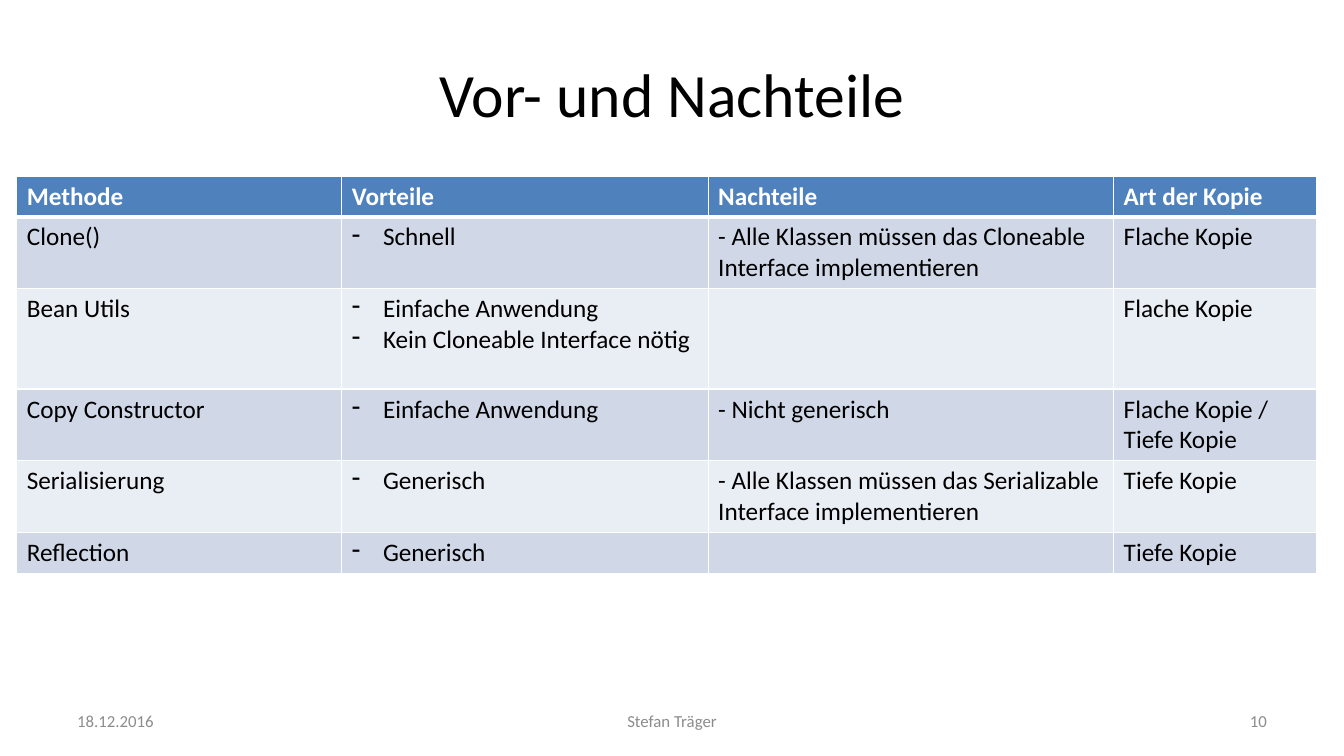
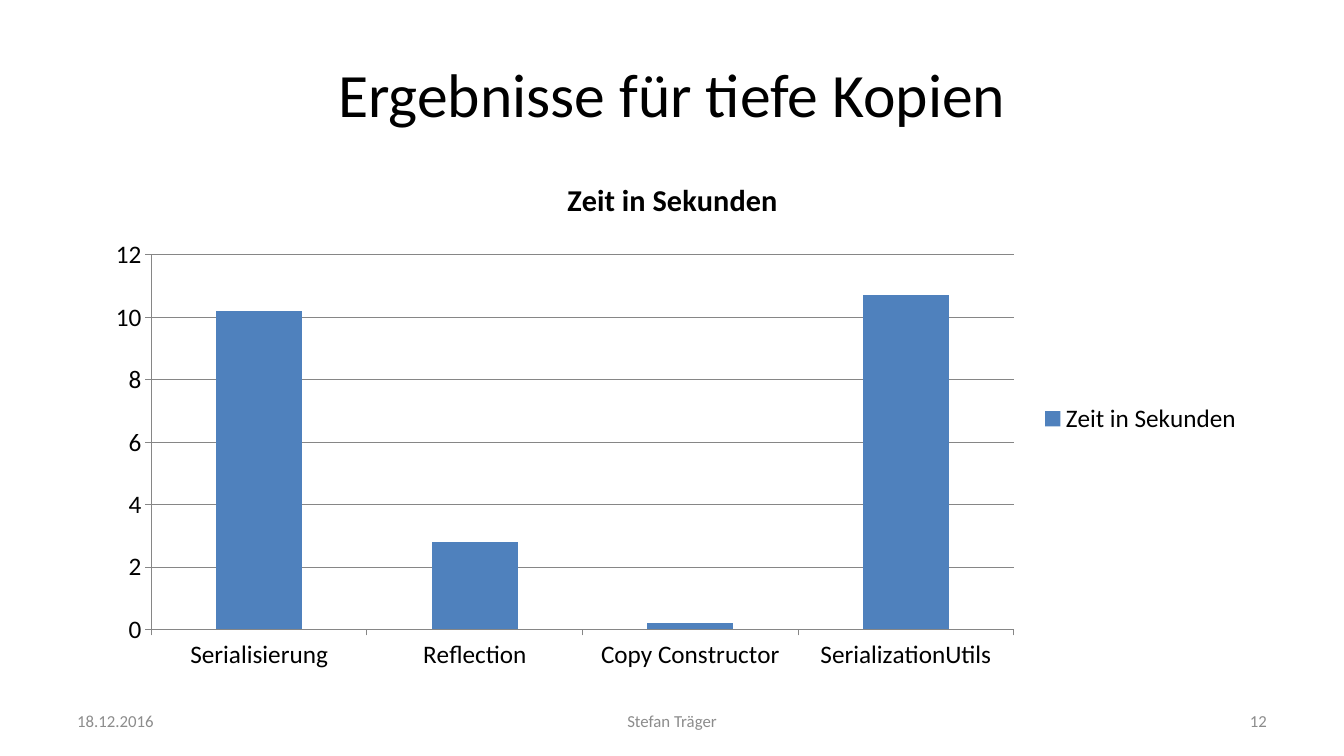
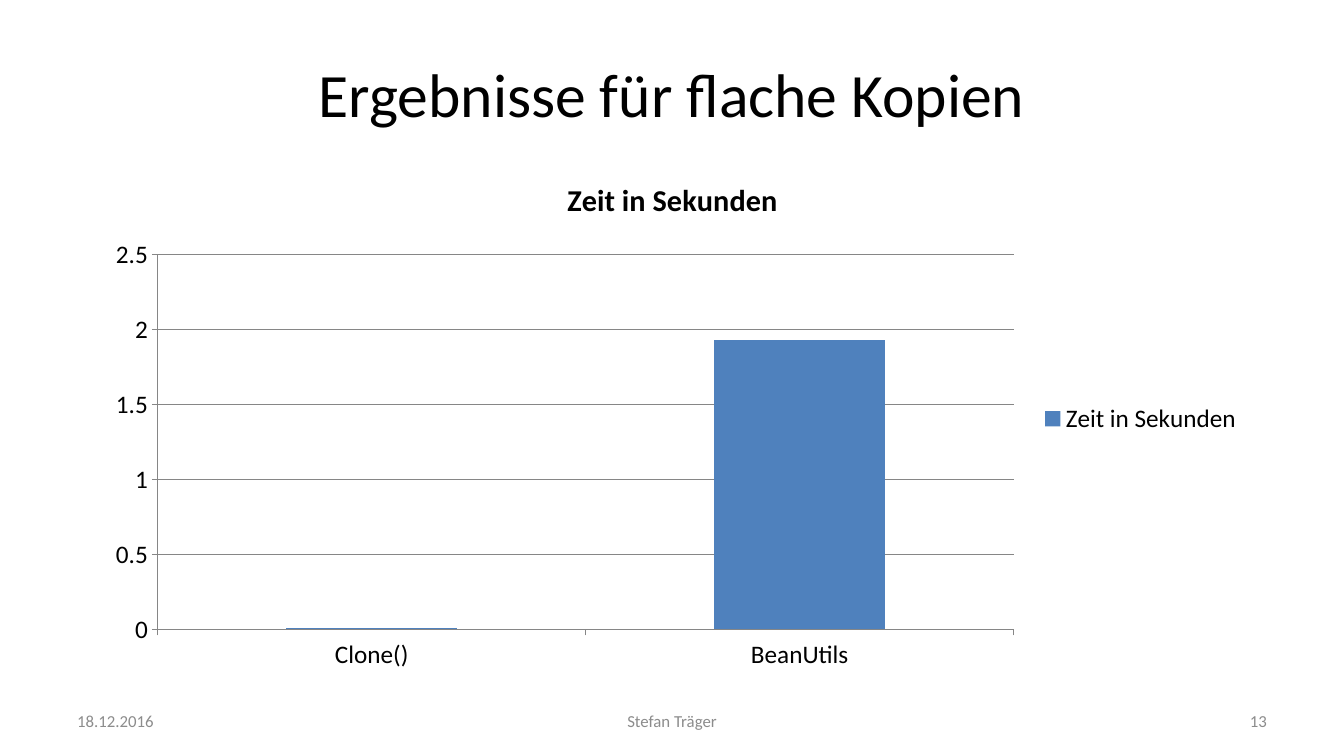
from lxml.etree import SubElement
from pptx import Presentation
from pptx.chart.data import CategoryChartData
from pptx.dml.color import RGBColor
from pptx.enum.chart import XL_CHART_TYPE, XL_LEGEND_POSITION, XL_TICK_MARK
from pptx.enum.text import MSO_ANCHOR, PP_ALIGN
from pptx.oxml.ns import qn
from pptx.util import Inches, Pt

W, H = 13.33, 7.5
FONT = "Calibri"
COLORS = {"text": "000000", "accent": "4F81BD", "white": "FFFFFF",
          "band_dark": "D0D8E8", "band_light": "E9EDF4",
          "footer": "8C8C8C", "axis": "868686"}

# Boxes as left, top, width, height in shares of the slide
TITLE_BOX = (0.05, 0.04, 0.9, 0.167)
TABLE_BOX = (0.0125, 0.2333, 0.967, 0.525)
CHART_BOX = (0.069, 0.208, 0.863, 0.692)
FOOTER_TOP, FOOTER_HEIGHT = 0.927, 0.053
FOOTER_COLUMNS = ((0.05, 0.2333, PP_ALIGN.LEFT),
                  (0.3417, 0.3167, PP_ALIGN.CENTER),
                  (0.7167, 0.2333, PP_ALIGN.RIGHT))
DATE, AUTHOR = "18.12.2016", "Stefan Träger"

COLUMN_SHARES = (0.25, 0.282, 0.312, 0.156)
ROW_HEIGHTS = (0.4, 0.71, 1, 0.71, 0.71, 0.41)
BULLET_COLUMN = 1
METHODS = (
    ("Methode", "Vorteile", "Nachteile", "Art der Kopie"),
    ("Clone()", "Schnell",
     "- Alle Klassen müssen das Cloneable Interface implementieren", "Flache Kopie"),
    ("Bean Utils", "Einfache Anwendung\nKein Cloneable Interface nötig", "",
     "Flache Kopie"),
    ("Copy Constructor", "Einfache Anwendung", "- Nicht generisch",
     "Flache Kopie / Tiefe Kopie"),
    ("Serialisierung", "Generisch",
     "- Alle Klassen müssen das Serializable Interface implementieren", "Tiefe Kopie"),
    ("Reflection", "Generisch", "", "Tiefe Kopie"),
)
SERIES_NAME = "Zeit in Sekunden"
DEEP_TIMES = {"Serialisierung": 10.2, "Reflection": 2.8,
              "Copy Constructor": 0.2, "SerializationUtils": 10.7}
FLAT_TIMES = {"Clone()": 0.01, "BeanUtils": 1.93}


def place(box):
    x, y, w, h = box
    return Inches(x * W), Inches(y * H), Inches(w * W), Inches(h * H)


def rgb(name):
    return RGBColor.from_string(COLORS[name])


def style_font(font, size, color, bold=False):
    font.name, font.size, font.bold = FONT, Pt(size), bold
    font.color.rgb = rgb(color)


def style_text(tf, size, color, align=None, bold=False):
    for p in tf.paragraphs:
        p.alignment = align
        for r in p.runs:
            style_font(r.font, size, color, bold)


# Title and footer shared by all slides
def add_slide(prs, title, number):
    s = prs.slides.add_slide(prs.slide_layouts[5])
    sp = s.shapes.title
    sp.left, sp.top, sp.width, sp.height = place(TITLE_BOX)
    sp.text_frame.text = title
    sp.text_frame.vertical_anchor = MSO_ANCHOR.MIDDLE
    style_text(sp.text_frame, 44, "text", PP_ALIGN.CENTER)
    for text, (x, w, align) in zip((DATE, AUTHOR, str(number)), FOOTER_COLUMNS):
        tf = s.shapes.add_textbox(*place((x, FOOTER_TOP, w, FOOTER_HEIGHT))).text_frame
        tf.word_wrap = True
        tf.vertical_anchor = MSO_ANCHOR.MIDDLE
        tf.text = text
        style_text(tf, 12, "footer", align)
    return s


def add_dash(p):
    pPr = p._p.get_or_add_pPr()
    pPr.set("marL", str(Inches(0.31)))
    pPr.set("indent", str(-Inches(0.31)))
    SubElement(pPr, qn("a:buFontTx"))
    SubElement(pPr, qn("a:buChar"), char="-")


def set_borders(cell, widths):
    tcPr = cell._tc.get_or_add_tcPr()
    for i, (side, width) in enumerate(widths.items()):
        ln = tcPr.makeelement(qn(f"a:ln{side}"), {"w": str(Pt(width))})
        fill = SubElement(ln, qn("a:solidFill"))
        SubElement(fill, qn("a:srgbClr"), val=COLORS["white"])
        tcPr.insert(i, ln)


# Comparison table
def add_comparison(s, box, rows):
    x, y, w, h = place(box)
    table = s.shapes.add_table(len(rows), len(rows[0]), x, y, w, h).table
    for column, share in zip(table.columns, COLUMN_SHARES):
        column.width = int(w * share)
    for i, (row, texts) in enumerate(zip(table.rows, rows)):
        header = i == 0
        row.height = Inches(ROW_HEIGHTS[i])
        band = "accent" if header else "band_dark" if i % 2 else "band_light"
        for j, (cell, text) in enumerate(zip(row.cells, texts)):
            cell.fill.solid()
            cell.fill.fore_color.rgb = rgb(band)
            set_borders(cell, {"L": 1, "R": 1, "T": 3 if i == 1 else 1,
                               "B": 3 if header else 1})
            cell.text_frame.text = text
            style_text(cell.text_frame, 18, "white" if header else "text", bold=header)
            if j == BULLET_COLUMN and not header:
                for p in cell.text_frame.paragraphs:
                    add_dash(p)


# Column chart of run times
def add_times(s, box, times):
    data = CategoryChartData()
    data.categories = list(times)
    data.add_series(SERIES_NAME, list(times.values()))
    chart = s.shapes.add_chart(XL_CHART_TYPE.COLUMN_CLUSTERED, *place(box), data).chart
    style_font(chart.font, 18, "text")
    chart.has_title = True
    tf = chart.chart_title.text_frame
    tf.text = SERIES_NAME
    style_text(tf, 21.6, "text", bold=True)
    chart.has_legend = True
    chart.legend.position = XL_LEGEND_POSITION.RIGHT
    chart.legend.include_in_layout = False
    plot = chart.plots[0]
    plot.gap_width = 150
    plot.vary_by_categories = False
    fill = plot.series[0].format.fill
    fill.solid()
    fill.fore_color.rgb = rgb("accent")
    chart.value_axis.has_major_gridlines = True
    for axis in (chart.category_axis, chart.value_axis):
        axis.major_tick_mark = XL_TICK_MARK.OUTSIDE
        axis.format.line.color.rgb = rgb("axis")
    chart.value_axis.major_gridlines.format.line.color.rgb = rgb("axis")


def main():
    prs = Presentation()
    prs.slide_width, prs.slide_height = Inches(W), Inches(H)
    add_comparison(add_slide(prs, "Vor- und Nachteile", 10), TABLE_BOX, METHODS)
    add_times(add_slide(prs, "Ergebnisse für tiefe Kopien", 12), CHART_BOX, DEEP_TIMES)
    add_times(add_slide(prs, "Ergebnisse für flache Kopien", 13), CHART_BOX, FLAT_TIMES)
    prs.save("out.pptx")


if __name__ == "__main__":
    main()
